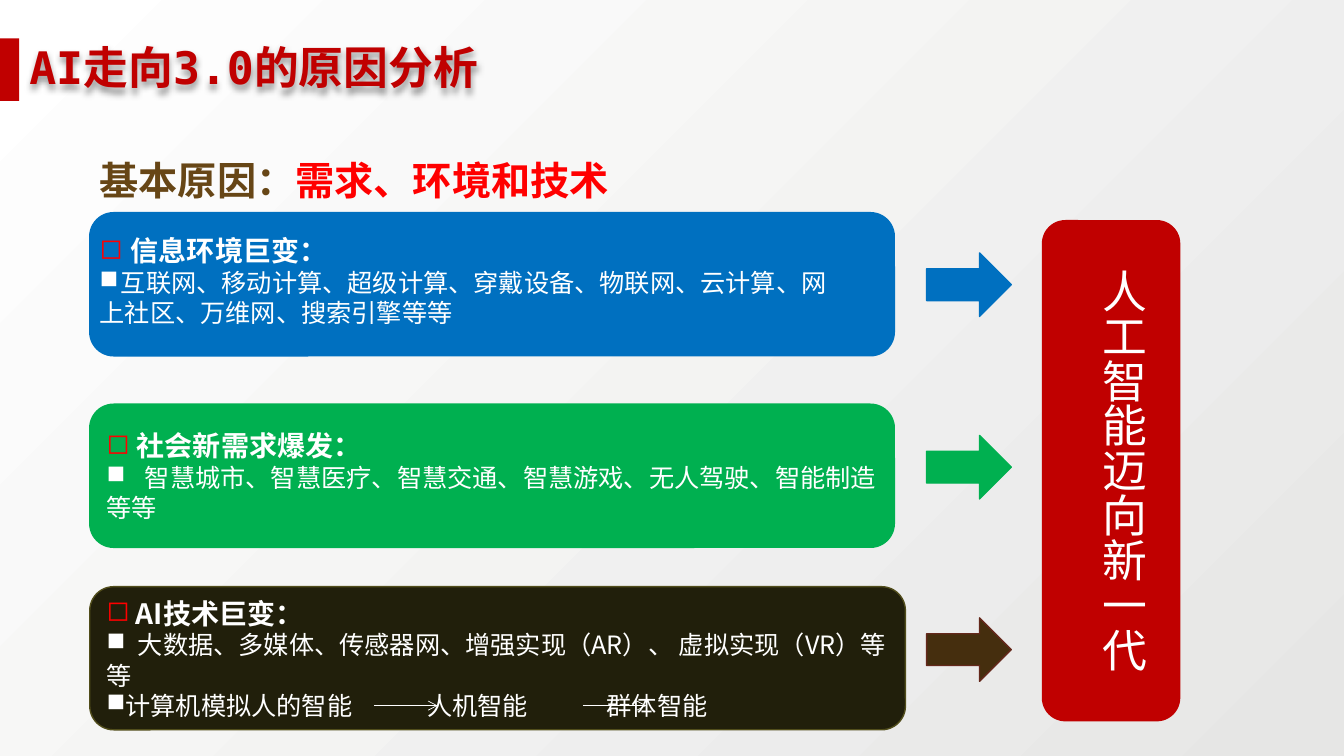
from lxml import etree
from pptx import Presentation
from pptx import util as u
from pptx.dml.color import RGBColor
from pptx.enum import shapes, text
from pptx.oxml.ns import qn

TITLE = "AI走向3.0的原因分析"
SUBTITLE = [("基本原因：", "brown"), ("需求、环境和技术", "alert")]
OUTCOME = "人工智能迈向新一代"

# Each paragraph: style, text, tab stops in inches
REASONS = [
    dict(fill="blue", line="blue", arrow=("blue", "blue"), width=7.98, top=2.11,
         text_area=(0.89, 2.27, 7.51, 1.04), paragraphs=[
             ("heading", "\t信息环境巨变：", [0.31]),
             ("item", "\t互联网、移动计算、超级计算、穿戴设备、物联网、云计算、"
                      "网上社区、万维网、搜索引擎等等", [0.21])]),
    dict(fill="green", line="green", arrow=("green", "green"), width=7.98, top=4.01,
         paragraphs=[
             ("heading", "\t社会新需求爆发：", [0.3]),
             ("item", "\t智慧城市、智慧医疗、智慧交通、智慧游戏、无人驾驶、智能制造等等", [0.38])]),
    dict(fill="dark", line="olive", arrow=("umber", "rust"), width=8.09, top=5.82,
         paragraphs=[
             ("heading", "\tAI技术巨变：", [0.29]),
             ("item", "\t大数据、多媒体、传感器网、增强实现（AR）、 虚拟实现（VR）等等", [0.31]),
             ("item", "计算机模拟人的智能\t人机智能\t群体智能", [3.18, 4.96])]),
]

THEME = dict(
    colors=dict(red="C00000", alert="FF0000", brown="674616", blue="0070C0",
                green="00B050", dark="211F0B", olive="514D1B", umber="452E0E",
                rust="64281B", white="FFFFFF", grey="E6E6E5"),
    cjk="Noto Sans CJK SC",
    title=dict(size=u.Pt(32), bold=True, name="DejaVu Sans Mono"),
    subtitle=dict(size=u.Pt(28), bold=True, name="Noto Sans CJK SC"),
    heading=dict(size=u.Pt(20), bold=True, name="Noto Sans CJK SC"),
    item=dict(size=u.Pt(18), bold=False, name="Noto Sans CJK SC"),
    outcome=dict(size=u.Pt(32), bold=False, name="Noto Sans CJK SC"),
)
BULLETS = dict(heading=("◻", "alert"), item=("■", "white"))

WIDTH, HEIGHT = 13.33, 7.5
CARD_LEFT, ARROW_LEFT, BAR_LEFT = 0.89, 9.19, 10.34
CARD_HEIGHT = 1.42
ARROW_TOP, ARROW_PITCH = 2.51, 1.81
STEP_LEFT, STEP_PITCH, STEP_LENGTH, STEP_Y = 3.71, 2.07, 0.63, 7.0


def color(name):
    return RGBColor.from_string(THEME["colors"][name])


def inches(*values):
    return [u.Inches(value) for value in values]


def add_child(parent, tag, **attributes):
    return etree.SubElement(parent, qn(tag), attributes)


def add_span(para, words, style, tint):
    span = para.add_run()
    span.text = words
    for key, value in THEME[style].items():
        setattr(span.font, key, value)
    span.font.color.rgb = color(tint)
    add_child(span.font._element, "a:ea", typeface=THEME["cjk"])


def add_block(slide, kind, area, fill, line):
    block = slide.shapes.add_shape(kind, *inches(*area))
    block.shadow.inherit = False
    block.fill.solid()
    block.fill.fore_color.rgb = color(fill)
    block.line.color.rgb = color(line)
    block.line.width = u.Pt(1)
    return block


def add_text_box(slide, area, wrap):
    box = slide.shapes.add_textbox(*inches(*area))
    box.text_frame.word_wrap = wrap
    box.text_frame.auto_size = text.MSO_AUTO_SIZE.SHAPE_TO_FIT_TEXT
    return box


def fill_bullets(frame, paragraphs):
    for index, (style, words, stops) in enumerate(paragraphs):
        para = frame.add_paragraph() if index else frame.paragraphs[0]
        para.alignment = text.PP_ALIGN.LEFT
        symbol, tint = BULLETS[style]
        props = para._p.get_or_add_pPr()
        props.set("marL", "0")
        props.set("indent", "0")
        add_child(add_child(props, "a:buClr"), "a:srgbClr", val=THEME["colors"][tint])
        add_child(props, "a:buChar", char=symbol)
        tabs = add_child(props, "a:tabLst")
        for stop in stops:
            add_child(tabs, "a:tab", pos=str(u.Inches(stop)), algn="l")
        add_span(para, words, style, "white")


def add_reason(slide, row, reason):
    card = add_block(slide, shapes.MSO_SHAPE.ROUNDED_RECTANGLE,
                     (CARD_LEFT, reason["top"], reason["width"], CARD_HEIGHT),
                     reason["fill"], reason["line"])
    if "text_area" in reason:
        frame = add_text_box(slide, reason["text_area"], True).text_frame
    else:
        frame = card.text_frame
        frame.vertical_anchor = text.MSO_ANCHOR.MIDDLE
    fill_bullets(frame, reason["paragraphs"])
    add_block(slide, shapes.MSO_SHAPE.RIGHT_ARROW,
              (ARROW_LEFT, ARROW_TOP + row * ARROW_PITCH, 0.84, 0.63), *reason["arrow"])


def add_step(slide, left):
    step = slide.shapes.add_connector(
        shapes.MSO_CONNECTOR.STRAIGHT, *inches(left, STEP_Y, left + STEP_LENGTH, STEP_Y))
    step.line.color.rgb = color("white")
    step.line.width = u.Pt(0.5)
    add_child(step.line._get_or_add_ln(), "a:tailEnd", type="arrow")
    add_child(step._element.spPr, "a:effectLst")


def set_title(slide):
    title = slide.shapes.title
    title.left, title.top, title.width, title.height = inches(0.19, 0.38, 12, 0.62)
    title.text_frame.vertical_anchor = text.MSO_ANCHOR.MIDDLE
    para = title.text_frame.paragraphs[0]
    para.alignment = text.PP_ALIGN.LEFT
    para.line_spacing = 0.9
    add_span(para, TITLE, "title", "red")
    effects = add_child(title._element.spPr, "a:effectLst")
    shadow = add_child(effects, "a:outerShdw", blurRad=str(u.Pt(4)), dist=str(u.Pt(3)),
                       dir="5400000", algn="t", rotWithShape="0")
    add_child(add_child(shadow, "a:srgbClr", val="000000"), "a:alpha", val="40000")


def set_background(slide):
    fill = slide.background.fill
    fill.gradient()
    fill.gradient_angle = 135
    for stop, tint in zip(fill.gradient_stops, ("grey", "white")):
        stop.color.rgb = color(tint)


def main():
    deck = Presentation()
    deck.slide_width, deck.slide_height = inches(WIDTH, HEIGHT)
    slide = deck.slides.add_slide(deck.slide_layouts[5])
    set_background(slide)
    set_title(slide)
    tab = add_block(slide, shapes.MSO_SHAPE.RECTANGLE, (0, 0.38, 0.19, 0.62), "red", "red")
    tab.line.fill.background()

    subtitle = add_text_box(slide, (CARD_LEFT, 1.5, 5.31, 0.57), False)
    for words, tint in SUBTITLE:
        add_span(subtitle.text_frame.paragraphs[0], words, "subtitle", tint)

    for row, reason in enumerate(REASONS):
        add_reason(slide, row, reason)
    for index in range(2):
        add_step(slide, STEP_LEFT + index * STEP_PITCH)

    add_block(slide, shapes.MSO_SHAPE.ROUNDED_RECTANGLE, (BAR_LEFT, 2.19, 1.36, 4.96), "red", "red")
    outcome = add_text_box(slide, (10.72, 2.57, 0.74, 4.14), False)
    outcome.text_frame._txBody.bodyPr.set("vert", "eaVert")
    add_span(outcome.text_frame.paragraphs[0], OUTCOME, "outcome", "white")
    deck.save("out.pptx")


if __name__ == "__main__":
    main()
